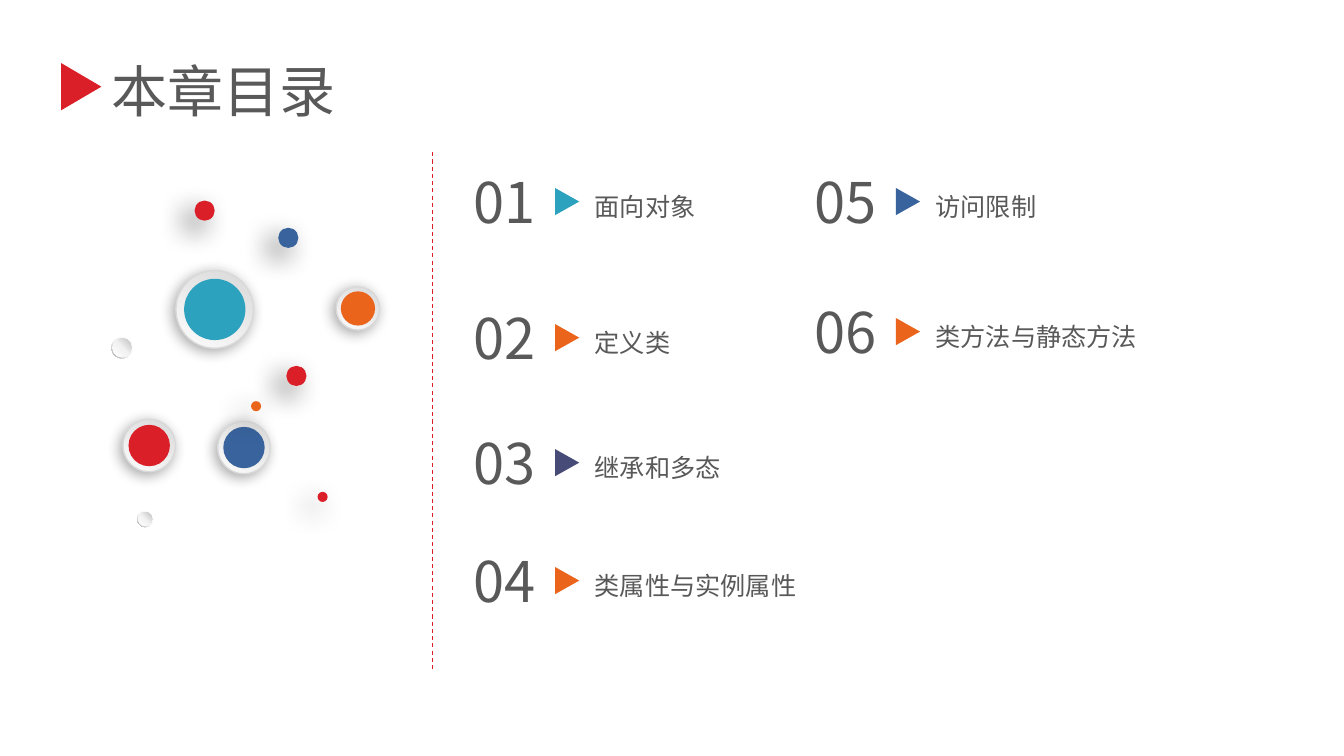
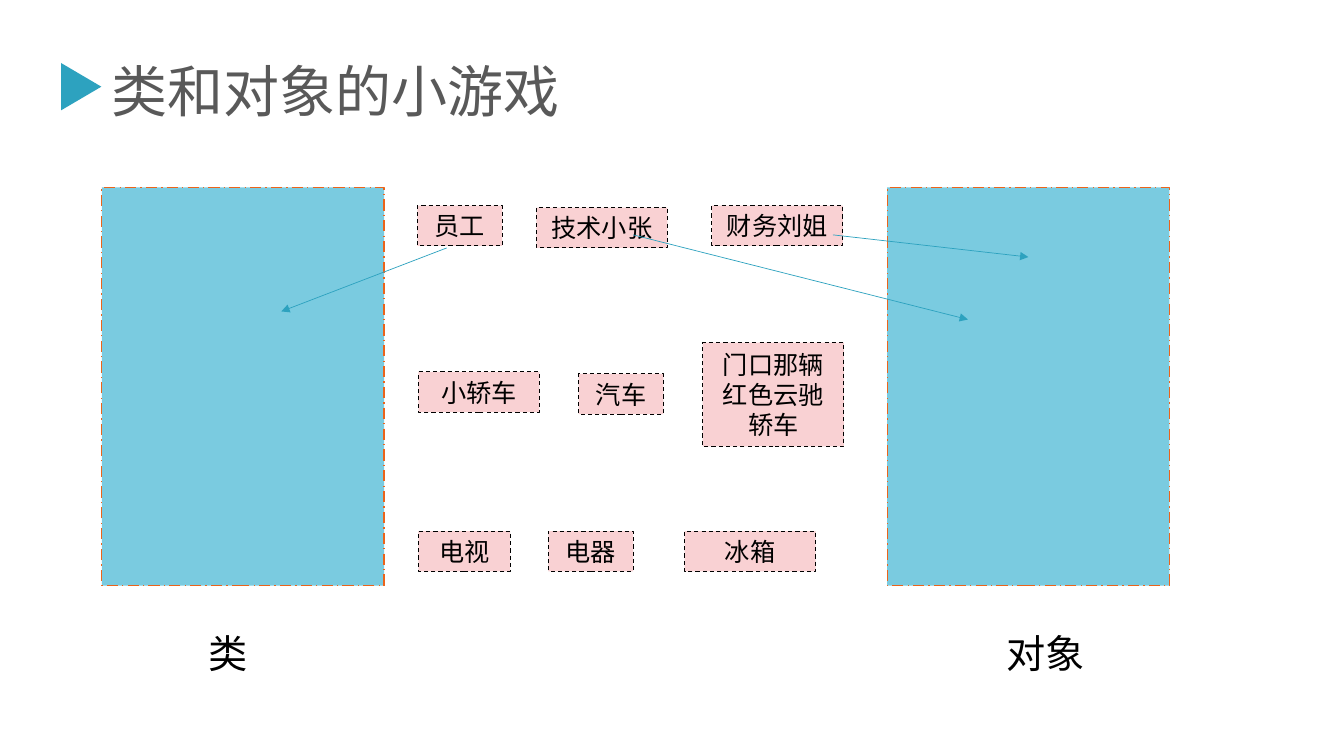
from lxml.etree import SubElement
from pptx import Presentation
from pptx.dml.color import RGBColor
from pptx.enum.dml import MSO_LINE
from pptx.enum.shapes import MSO_CONNECTOR, MSO_SHAPE
from pptx.enum.text import MSO_ANCHOR, MSO_AUTO_SIZE, PP_ALIGN
from pptx.oxml.ns import qn
from pptx.util import Inches, Pt

RED, TEAL, BLUE = "DA1F28", "2DA2BF", "39639D"
ORANGE, INDIGO = "EB641B", "474B78"
GREY, BLACK = "595959", "000000"
SKY, PINK, SILVER = "7ACBE0", "F9D1D3", "D9D9D9"
HAN_FONT, LATIN_FONT = "Noto Sans CJK SC", "Roboto"

RING_STOPS = [(0, SILVER), (100, "FCFCFC")]
RIM_STOPS = [(0, "FFFFFF"), (55, "F2F2F2"), (100, "A6A6A6")]
PEARL_STOPS = [(0, "FFFFFF"), (51, "F2F2F2"), (100, "BFBFBF")]
RING_SHADOW = (34, 10, 3, 136)
DOT_SHADOW = (60, 20, 10, 135)


def rgb(color):
    return RGBColor.from_string(color)


def add_color(parent, color):
    return SubElement(parent, qn("a:srgbClr"), val=color)


def set_outline(line, color, width, dash=None):
    line.color.rgb = rgb(color)
    line.width = Pt(width)
    if dash is not None:
        line.dash_style = dash


def add_figure(shapes, kind, left, top, width, height, fill=None):
    figure = shapes.add_shape(kind, Inches(left), Inches(top), Inches(width), Inches(height))
    figure.shadow.inherit = False
    figure.line.fill.background()
    if fill:
        figure.fill.solid()
        figure.fill.fore_color.rgb = rgb(fill)
    return figure


def add_disc(shapes, center, diameter, fill=None, kind=MSO_SHAPE.OVAL):
    x, y = center
    radius = diameter / 2
    return add_figure(shapes, kind, x - radius, y - radius, diameter, diameter, fill)


def set_gradient(figure, stops, angle):
    figure.fill.gradient()
    gradient = figure._element.spPr.find(qn("a:gradFill"))
    for child in list(gradient):
        gradient.remove(child)
    stop_list = SubElement(gradient, qn("a:gsLst"))
    for position, color in stops:
        add_color(SubElement(stop_list, qn("a:gs"), pos=str(position * 1000)), color)
    SubElement(gradient, qn("a:lin"), ang=str(angle * 60000), scaled="0")


def set_shadow(figure, opacity, blur, distance, direction):
    effects = figure._element.spPr.find(qn("a:effectLst"))
    shadow = SubElement(
        effects, qn("a:outerShdw"), blurRad=str(Pt(blur)), dist=str(Pt(distance)),
        dir=str(direction * 60000), algn="tr", rotWithShape="0",
    )
    SubElement(add_color(shadow, BLACK), qn("a:alpha"), val=str(opacity * 1000))


def write(frame, text, size, color, font):
    frame.word_wrap = True
    frame.auto_size = MSO_AUTO_SIZE.SHAPE_TO_FIT_TEXT
    paragraph = frame.paragraphs[0]
    paragraph.text = text
    paragraph.font.size = Pt(size)
    paragraph.font.color.rgb = rgb(color)
    paragraph.font.name = font
    defaults = paragraph._p.pPr.find(qn("a:defRPr"))
    SubElement(defaults, qn("a:ea"), typeface=HAN_FONT)
    return paragraph


def add_text(shapes, left, top, width, height, text, size, color=GREY, font=HAN_FONT):
    box = shapes.add_textbox(Inches(left), Inches(top), Inches(width), Inches(height))
    return write(box.text_frame, text, size, color, font)


def add_pointer(shapes, left, top, width, height, color):
    pointer = add_figure(shapes, MSO_SHAPE.ISOSCELES_TRIANGLE, left, top, width, height, color)
    pointer.rotation = 90


def add_title(slide, text, width, color):
    add_text(slide.shapes, 1.01, 0.51, width, 0.77, text, 40)
    add_pointer(slide.shapes, 0.57, 0.66, 0.47, 0.4, color)


def add_line(slide, start, end, color, width, dash=None, arrow=False):
    points = [Inches(value) for value in (*start, *end)]
    connector = slide.shapes.add_connector(MSO_CONNECTOR.STRAIGHT, *points)
    set_outline(connector.line, color, width, dash)
    properties = connector._element.spPr
    if arrow:
        SubElement(properties.find(qn("a:ln")), qn("a:tailEnd"), type="triangle")
    SubElement(properties, qn("a:effectLst"))


def add_entry(slide, left, top, number, label, color):
    entry = slide.shapes.add_group_shape().shapes
    add_pointer(entry, left + 0.89, top + 0.27, 0.27, 0.24, color)
    add_text(entry, left, top, 0.9, 0.77, number, 40)
    topic = add_text(entry, left + 1.2, top + 0.09, 4, 0.55, label, 18)
    topic.line_spacing = 1.5
    topic.space_before = Pt(6)


def add_orb(slide, center, diameter, color):
    orb = slide.shapes.add_group_shape().shapes
    ring = add_disc(orb, center, diameter)
    set_gradient(ring, RING_STOPS, 120)
    set_outline(ring.line, SILVER, 1)
    set_shadow(ring, *RING_SHADOW)
    add_disc(orb, center, diameter * 0.79, color)


def add_pearl(slide, center, diameter):
    pearl = slide.shapes.add_group_shape().shapes
    rim = add_disc(pearl, center, diameter, kind=MSO_SHAPE.DONUT)
    rim.adjustments[0] = 0.05
    set_gradient(rim, RIM_STOPS, 135)
    set_gradient(add_disc(pearl, center, diameter - 0.02), PEARL_STOPS, 315)


def add_dot(slide, center, diameter, color):
    set_shadow(add_disc(slide.shapes, center, diameter, color), *DOT_SHADOW)


def add_basket(slide, left):
    basket = add_figure(slide.shapes, MSO_SHAPE.RECTANGLE, left, 1.86, 2.8, 3.95, SKY)
    set_outline(basket.line, ORANGE, 1, MSO_LINE.LONG_DASH_DOT)


def add_card(slide, left, top, width, text, height=0.4):
    card = add_figure(slide.shapes, MSO_SHAPE.RECTANGLE, left, top, width, height, PINK)
    set_outline(card.line, BLACK, 0.75, MSO_LINE.DASH)
    card.text_frame.vertical_anchor = MSO_ANCHOR.MIDDLE
    write(card.text_frame, text, 18, BLACK, LATIN_FONT).alignment = PP_ALIGN.CENTER


def build_contents(slide):
    add_title(slide, "本章目录", 3.26, RED)
    for center, diameter, color in [
        ((2.13, 3.07), 0.77, TEAL),
        ((1.48, 4.42), 0.52, RED),
        ((2.42, 4.44), 0.52, BLUE),
        ((3.55, 3.06), 0.43, ORANGE),
    ]:
        add_orb(slide, center, diameter, color)
    add_pearl(slide, (1.44, 5.15), 0.16)
    add_pearl(slide, (1.21, 3.45), 0.21)
    for center, diameter, color in [
        ((2.94, 3.73), 0.2, RED),
        ((2.86, 2.36), 0.2, BLUE),
        ((3.2, 4.93), 0.1, RED),
        ((2.03, 2.09), 0.2, RED),
        ((2.54, 4.03), 0.1, ORANGE),
    ]:
        add_dot(slide, center, diameter, color)
    add_line(slide, (4.29, 1.51), (4.29, 6.66), RED, 0.75, MSO_LINE.DASH)
    first, second = 4.6, 7.98
    entries = [
        (first, 1.61, "面向对象", TEAL),
        (first, 2.96, "定义类", ORANGE),
        (first, 4.2, "继承和多态", INDIGO),
        (first, 5.37, "类属性与实例属性", ORANGE),
        (second, 1.61, "访问限制", BLUE),
        (second, 2.9, "类方法与静态方法", ORANGE),
    ]
    for number, (left, top, label, color) in enumerate(entries, 1):
        add_entry(slide, left, top, f"{number:02}", label, color)


def build_game(slide):
    add_title(slide, "类和对象的小游戏", 5.81, TEAL)
    for left in (1.01, 8.8):
        add_basket(slide, left)
    for card in [
        (4.14, 2.04, 0.84, "员工"),
        (5.32, 2.06, 1.3, "技术小张"),
        (7.06, 2.04, 1.3, "财务刘姐"),
        (4.15, 3.69, 1.2, "小轿车"),
        (5.74, 3.71, 0.84, "汽车"),
        (6.97, 3.4, 1.4, "门口那辆红色云驰轿车", 1.03),
        (4.15, 5.27, 0.91, "电视"),
        (5.44, 5.27, 0.84, "电器"),
        (6.79, 5.27, 1.3, "冰箱"),
    ]:
        add_card(slide, *card)
    for left, width, caption in [(1.97, 0.64, "类"), (9.88, 1.23, "对象")]:
        add_text(slide.shapes, left, 6.19, width, 0.57, caption, 28, BLACK, LATIN_FONT)
    for start, end in [
        ((4.43, 2.46), (2.79, 3.09)),
        ((6.28, 2.33), (9.6, 3.17)),
        ((8.26, 2.33), (10.2, 2.55)),
    ]:
        add_line(slide, start, end, TEAL, 0.5, arrow=True)


def main():
    deck = Presentation()
    deck.slide_width, deck.slide_height = Inches(13.33), Inches(7.5)
    for build in (build_contents, build_game):
        build(deck.slides.add_slide(deck.slide_layouts[6]))
    deck.save("out.pptx")


if __name__ == "__main__":
    main()
